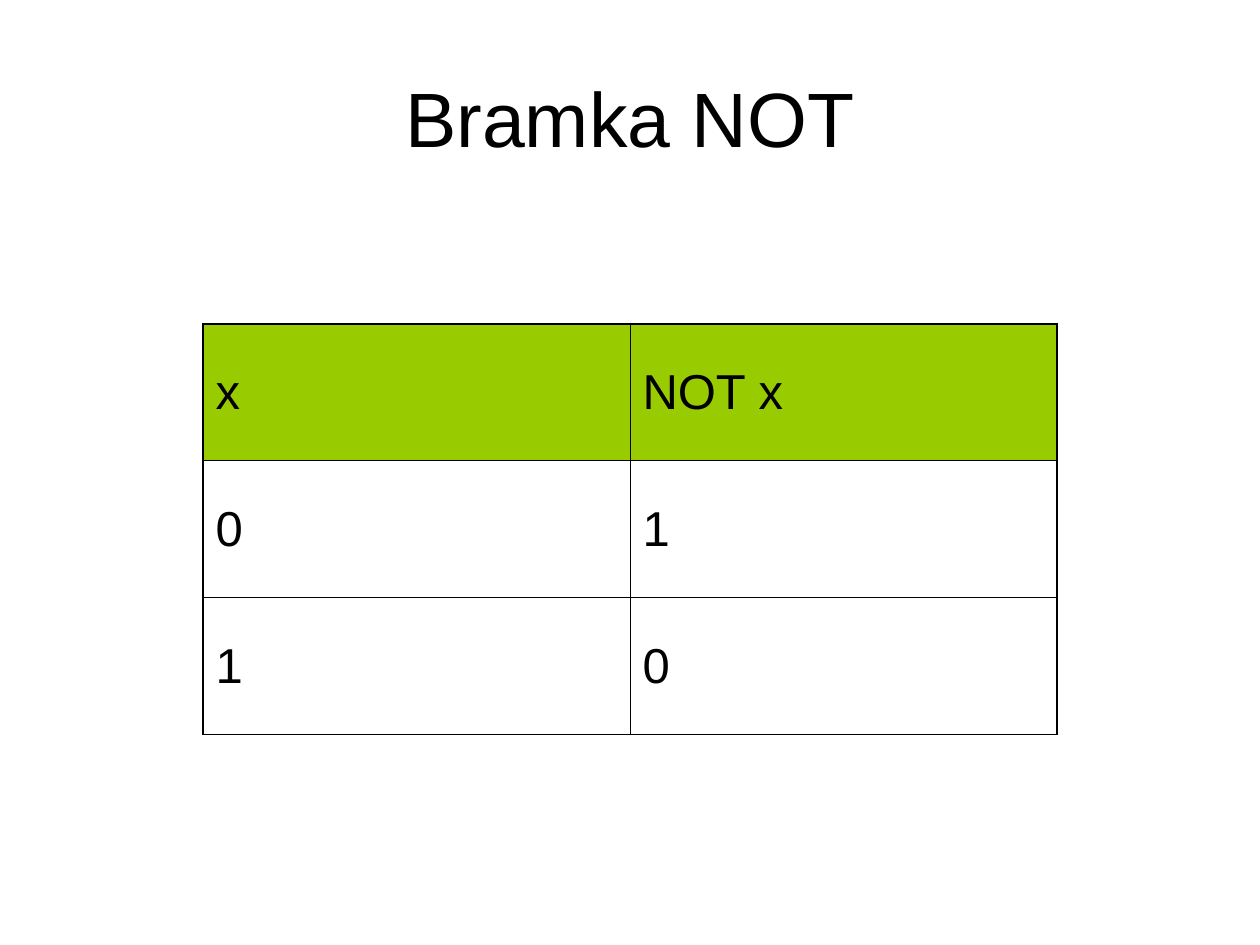
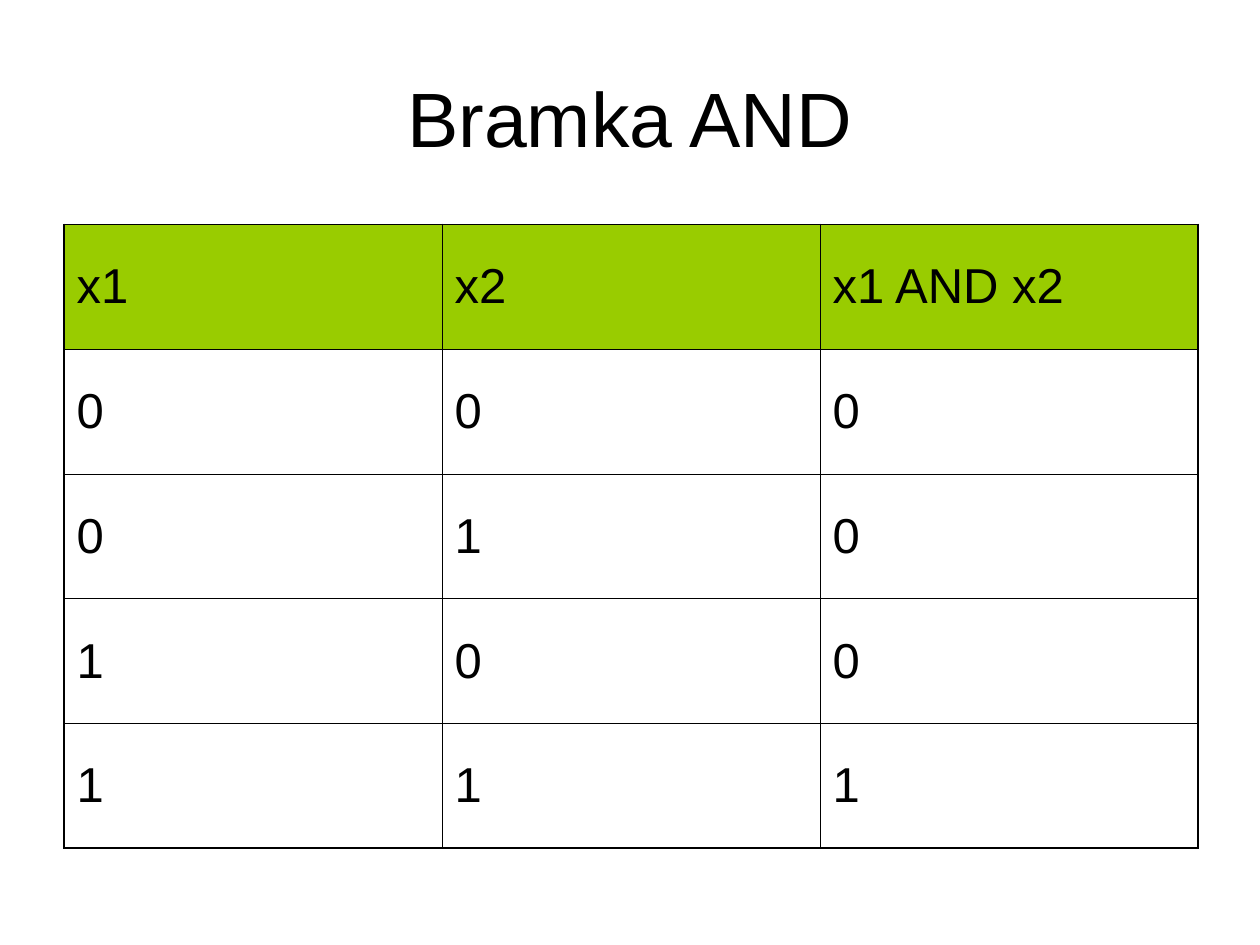
from dataclasses import dataclass

from lxml import etree
from pptx import Presentation
from pptx.dml.color import RGBColor
from pptx.enum.text import MSO_ANCHOR, PP_ALIGN
from pptx.oxml.ns import qn
from pptx.util import Pt


@dataclass(frozen=True)
class Theme:
    font: str = "Arial"
    ink: str = "000000"
    header: str = "99CC00"
    title_size: float = 44
    cell_size: float = 28
    outer_line: float = 1.08
    inner_line: float = 0.45


theme = Theme()


def style_text(tf, size, align):
    tf.word_wrap = True
    tf.vertical_anchor = MSO_ANCHOR.MIDDLE
    tf.margin_left = tf.margin_right = Pt(7.2)
    tf.margin_top = tf.margin_bottom = Pt(3.6)
    for p in tf.paragraphs:
        p.alignment = align
        for r in p.runs:
            r.font.name = theme.font
            r.font.size = Pt(size)
            r.font.color.rgb = RGBColor.from_string(theme.ink)


def set_border(cell, side, width):
    ln = etree.SubElement(cell._tc.get_or_add_tcPr(), qn(f"a:ln{side}"), w=str(Pt(width)))
    fill = etree.SubElement(ln, qn("a:solidFill"))
    etree.SubElement(fill, qn("a:srgbClr"), val=theme.ink)


# Gates: title, table left and top, column width, row height, truth table
gates = [
    ("Bramka NOT", 116, 185, 244, 78.25,
     [("x", "NOT x"), (0, 1), (1, 0)]),
    ("Bramka AND", 36.6, 128.2, 216, 71.3,
     [("x1", "x2", "x1 AND x2"), (0, 0, 0), (0, 1, 0), (1, 0, 0), (1, 1, 1)]),
]

prs = Presentation()
prs.slide_width, prs.slide_height = Pt(720), Pt(540)

for title, left, top, col_width, row_height, truth in gates:
    s = prs.slides.add_slide(prs.slide_layouts[5])

    # Title
    sp = s.shapes.title
    sp.left, sp.top, sp.width, sp.height = Pt(36), Pt(21.6), Pt(648), Pt(90)
    sp.text_frame.text = title
    style_text(sp.text_frame, theme.title_size, PP_ALIGN.CENTER)

    # Truth table
    n_rows, n_cols = len(truth), len(truth[0])
    table = s.shapes.add_table(n_rows, n_cols, Pt(left), Pt(top),
                               Pt(col_width * n_cols), Pt(row_height * n_rows)).table
    table.horz_banding = table.first_row = False
    for row in table.rows:
        row.height = Pt(row_height)
    for col in table.columns:
        col.width = Pt(col_width)

    for i, values in enumerate(truth):
        for j, value in enumerate(values):
            cell = table.cell(i, j)
            cell.text_frame.text = str(value)
            style_text(cell.text_frame, theme.cell_size, PP_ALIGN.LEFT)
            cell.vertical_anchor = MSO_ANCHOR.MIDDLE

            # Heavier line around the outside; borders go before the fill
            outer = {"L": j == 0, "R": j == n_cols - 1, "T": i == 0, "B": i == n_rows - 1}
            for side, is_outer in outer.items():
                set_border(cell, side, theme.outer_line if is_outer else theme.inner_line)
            if i == 0:
                cell.fill.solid()
                cell.fill.fore_color.rgb = RGBColor.from_string(theme.header)
            else:
                cell.fill.background()

prs.save("out.pptx")
